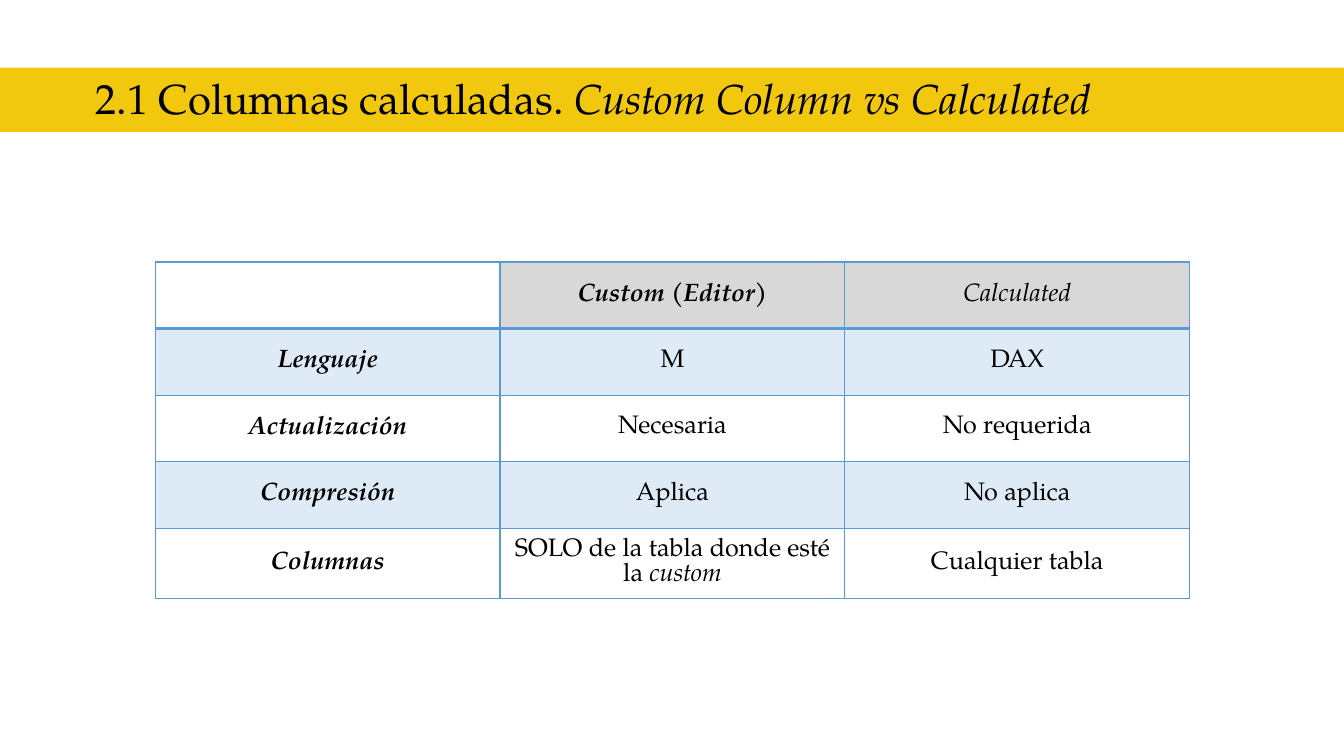
from lxml.etree import SubElement
from pptx import Presentation
from pptx.dml.color import RGBColor
from pptx.enum.shapes import MSO_SHAPE as Shape
from pptx.enum.text import MSO_ANCHOR as Anchor, PP_ALIGN as Align
from pptx.oxml.ns import qn
from pptx.util import Inches, Pt

# Content: a text is a list of (words, style), b = bold, i = italic
TITLE = [("2.1 Columnas calculadas. ", ""), ("Custom Column vs Calculated", "i")]
ROWS = [
    [[], [("Custom (Editor)", "bi")], [("Calculated", "i")]],
    [[("Lenguaje", "bi")], [("M", "")], [("DAX", "")]],
    [[("Actualización", "bi")], [("Necesaria", "")], [("No requerida", "")]],
    [[("Compresión", "bi")], [("Aplica", "")], [("No aplica", "")]],
    [[("Columnas", "bi")],
     [("SOLO de la tabla donde esté la ", ""), ("custom", "i")],
     [("Cualquier tabla", "")]],
]
FONT = "TeX Gyre Pagella"
GOLD, GREY, BLUE, PALE, BLACK = "F2C80F", "D8D8D8", "5B9BD5", "DEEAF6", "000000"
COL_W, ROW_H = 3.42, 0.66


def paint(fill, color):
    fill.solid()
    fill.fore_color.rgb = RGBColor.from_string(color)


def write(frame, runs, size=18, color=BLACK, align=Align.LEFT):
    frame.word_wrap = True
    para = frame.paragraphs[0]
    para.alignment = align
    para.font.size = Pt(size)
    for words, style in runs:
        run = para.add_run()
        run.text = words
        font = run.font
        font.name, font.size = FONT, Pt(size)
        font.bold, font.italic = "b" in style, "i" in style
        font.color.rgb = RGBColor.from_string(color)


def edge(cell, widths):
    props = cell._tc.get_or_add_tcPr()
    for spot, (side, width) in enumerate(widths.items()):
        line = props.makeelement(qn("a:ln" + side), {"w": str(Pt(width))})
        fill = SubElement(line, qn("a:solidFill"))
        SubElement(fill, qn("a:srgbClr"), val=BLUE)
        props.insert(spot, line)


deck = Presentation()
deck.slide_width, deck.slide_height = Inches(13.33), Inches(7.5)
slide = deck.slides.add_slide(deck.slide_layouts[6])
shapes = slide.shapes

# Title band
band = shapes.add_shape(Shape.RECTANGLE, 0, Inches(0.67), Inches(13.33), Inches(0.64))
band.shadow.inherit = False
paint(band.fill, GOLD)
band.line.fill.background()
title = shapes.add_textbox(Inches(0.85), Inches(0.67), Inches(10.09), Inches(0.61))
write(title.text_frame, TITLE, size=30)

# Comparison table
count = len(ROWS[0])
frame = shapes.add_table(len(ROWS), count, Inches(1.54), Inches(2.6),
                         Inches(COL_W * count), Inches(ROW_H * len(ROWS)))
table = frame.table
table.horz_banding = False
for col in table.columns:
    col.width = Inches(COL_W)
for r, row in enumerate(ROWS):
    table.rows[r].height = Inches(ROW_H)
    for c, runs in enumerate(row):
        cell = table.cell(r, c)
        cell.vertical_anchor = Anchor.MIDDLE
        write(cell.text_frame, runs, align=Align.CENTER)
        if r % 2:
            paint(cell.fill, PALE)
        elif r == 0 and c > 0:
            paint(cell.fill, GREY)
        else:
            cell.fill.background()
        edge(cell, {"L": 1, "R": 1, "T": 2 if r == 1 else 1, "B": 2 if r == 0 else 1})

deck.save("out.pptx")
